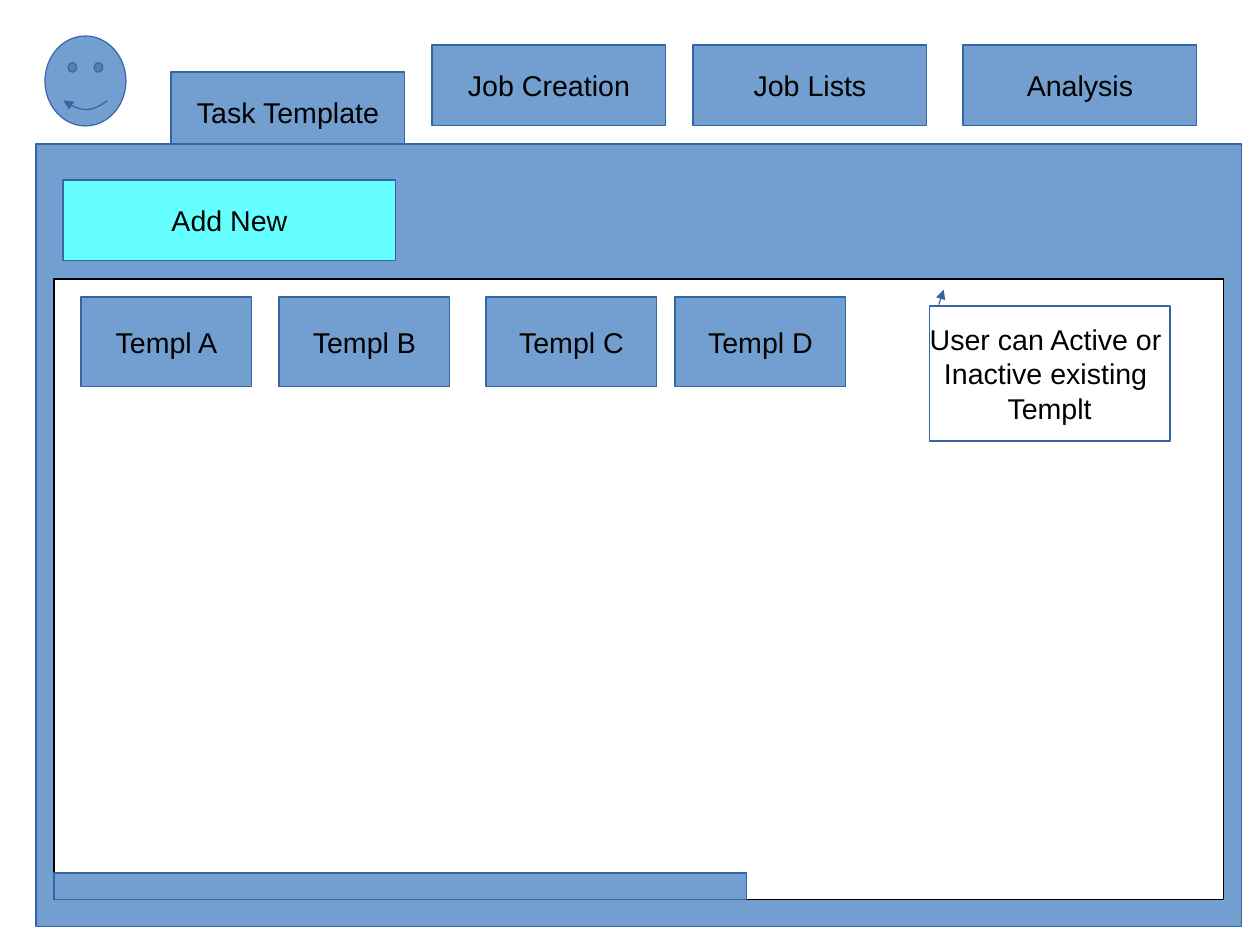
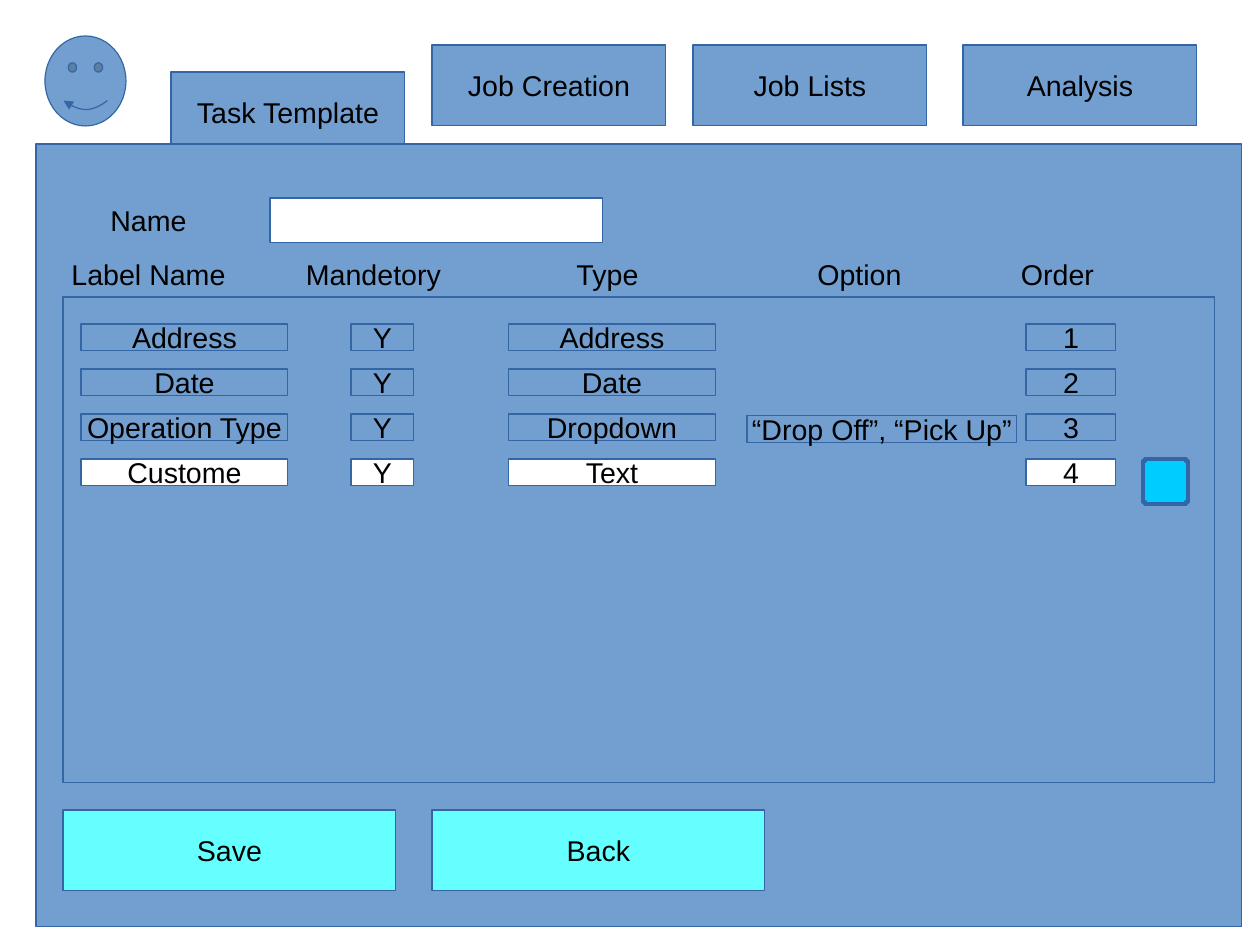
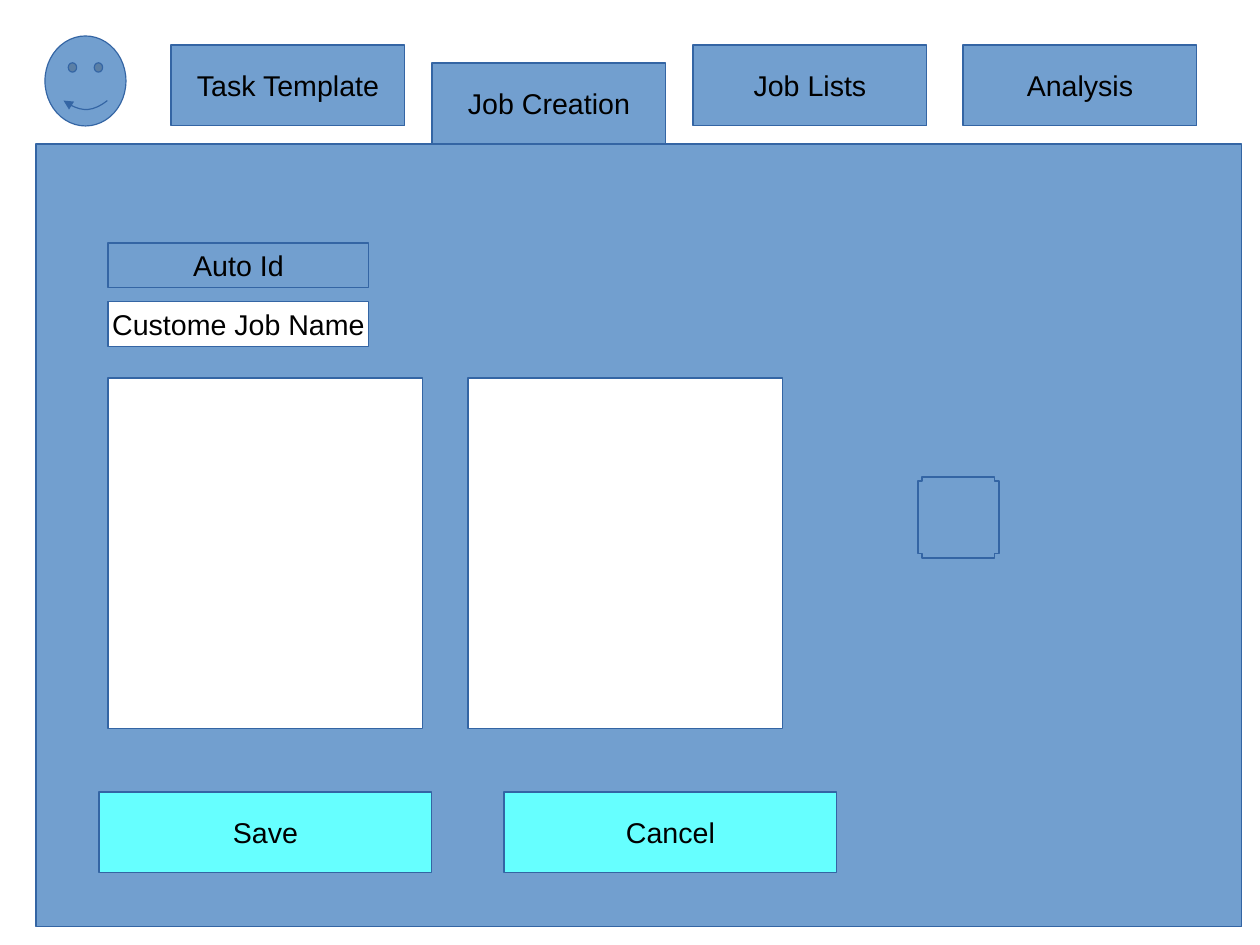
"""Three wireframe screens of a job management app with a shared tab bar."""
from lxml.etree import SubElement
from pptx import Presentation
from pptx.dml.color import RGBColor as RGB
from pptx.enum.shapes import MSO_SHAPE as SHAPE
from pptx.enum.text import MSO_ANCHOR as ANCHOR, PP_ALIGN as ALIGN
from pptx.oxml.ns import qn
from pptx.util import Cm, Pt

COLORS = {
    "blue": "729FCF", "edge": "3465A4", "white": "FFFFFF",
    "black": "000000", "button": "66FFFF", "add": "00CCFF",
}
FRAME = {"word_wrap": False, "vertical_anchor": ANCHOR.MIDDLE}
FONT = {"name": "Arial", "size": Pt(18)}
TABS = [("Task Template", 3.8), ("Job Creation", 9.6),
        ("Job Lists", 15.4), ("Analysis", 21.4)]
BUTTON = (7.4, 1.8)


def box(s, x, y, w, h, text="", fill="blue", line="edge", weight=0.75,
        kind=SHAPE.RECTANGLE, adj=(), arrow=False):
    sp = s.shapes.add_shape(kind, Cm(x), Cm(y), Cm(w), Cm(h))
    sp.shadow.inherit = False
    sp.fill.solid()
    sp.fill.fore_color.rgb = RGB.from_string(COLORS[fill])
    if line:
        sp.line.color.rgb = RGB.from_string(COLORS[line])
        sp.line.width = Pt(weight)
    else:
        sp.line.fill.background()
    for i, value in enumerate(adj):
        sp.adjustments[i] = value
    if arrow:
        ln = sp.element.spPr.find(qn("a:ln"))
        SubElement(ln, qn("a:headEnd"), type="triangle")
    if text:
        tf = sp.text_frame
        for key, value in FRAME.items():
            setattr(tf, key, value)
        tf.text = text
        for p in tf.paragraphs:
            p.alignment = ALIGN.CENTER
            for r in p.runs:
                r.font.color.rgb = RGB.from_string(COLORS["black"])
                for key, value in FONT.items():
                    setattr(r.font, key, value)


def screen(prs, active, active_top):
    s = prs.slides.add_slide(prs.slide_layouts[6])
    box(s, 1, 0.8, 1.8, 2, kind=SHAPE.SMILEY_FACE, adj=[0.19], arrow=True)
    for name, x in TABS:
        box(s, x, active_top if name == active else 1, 5.2, 1.8, name)
    box(s, 0.8, 3.2, 26.8, 17.4)
    return s


prs = Presentation()
prs.slide_width, prs.slide_height = Cm(28), Cm(21)

s = screen(prs, "Task Template", 1.6)
box(s, 1.2, 6.2, 26, 13.8, fill="white", line="black")
for letter, x in zip("ABCD", (1.8, 6.2, 10.8, 15)):
    box(s, x, 6.6, 3.8, 2, f"Templ {letter}")
box(s, 1.2, 19.4, 15.4, 0.6)
box(s, 20.65, 6.8, 5.35, 3,
    "User can Active or \nInactive existing \nTemplt", fill="white",
    kind=SHAPE.LINE_CALLOUT_1, adj=[-0.12, 0.06, -0.01, 0.04], arrow=True)
box(s, 1.4, 4, *BUTTON, "Add New", fill="button")

s = screen(prs, "Task Template", 1.6)
for name, x in (("Save", 1.4), ("Back", 9.6)):
    box(s, x, 18, *BUTTON, name, fill="button")
box(s, 6, 4.4, 7.4, 1, fill="white")
box(s, 1.4, 4.4, 3.8, 1, "Name", line=None)
headers = [("Label Name", 1.4), ("Mandetory", 6.4), ("Type", 11.6),
           ("Option", 17.2), ("Order", 21.6)]
for name, x in headers:
    box(s, x, 5.6, 3.8, 1, name, line=None)
box(s, 1.4, 6.6, 25.6, 10.8)
columns = [(1.8, 4.6), (7.8, 1.4), (11.3, 4.6), (22.8, 2)]
fields = [
    ("Address", "Y", "Address", "1"),
    ("Date", "Y", "Date", "2"),
    ("Operation Type", "Y", "Dropdown", "3"),
    ("Custome", "Y", "Text", "4"),
]
for i, field in enumerate(fields):
    fill = "white" if field[0] == "Custome" else "blue"
    for (x, w), value in zip(columns, field):
        box(s, x, 7.2 + i, w, 0.6, value, fill=fill)
box(s, 16.6, 9.23, 6, 0.6, "“Drop Off”, “Pick Up”")
box(s, 25.4, 10.2, 1, 1, fill="add", weight=2.3, kind=SHAPE.CROSS, adj=[0.05])

s = screen(prs, "Job Creation", 1.4)
box(s, 2.4, 5.4, 5.8, 1, "Auto Id")
box(s, 2.4, 6.7, 5.8, 1, "Custome Job Name", fill="white")
for name, x in (("Save", 2.2), ("Cancel", 11.2)):
    box(s, x, 17.6, *BUTTON, name, fill="button")
for x in (2.4, 10.4):
    box(s, x, 8.4, 7, 7.8, fill="white")
box(s, 20.4, 10.6, 1.8, 1.8, kind=SHAPE.CROSS, adj=[0.05])

prs.save("out.pptx")
